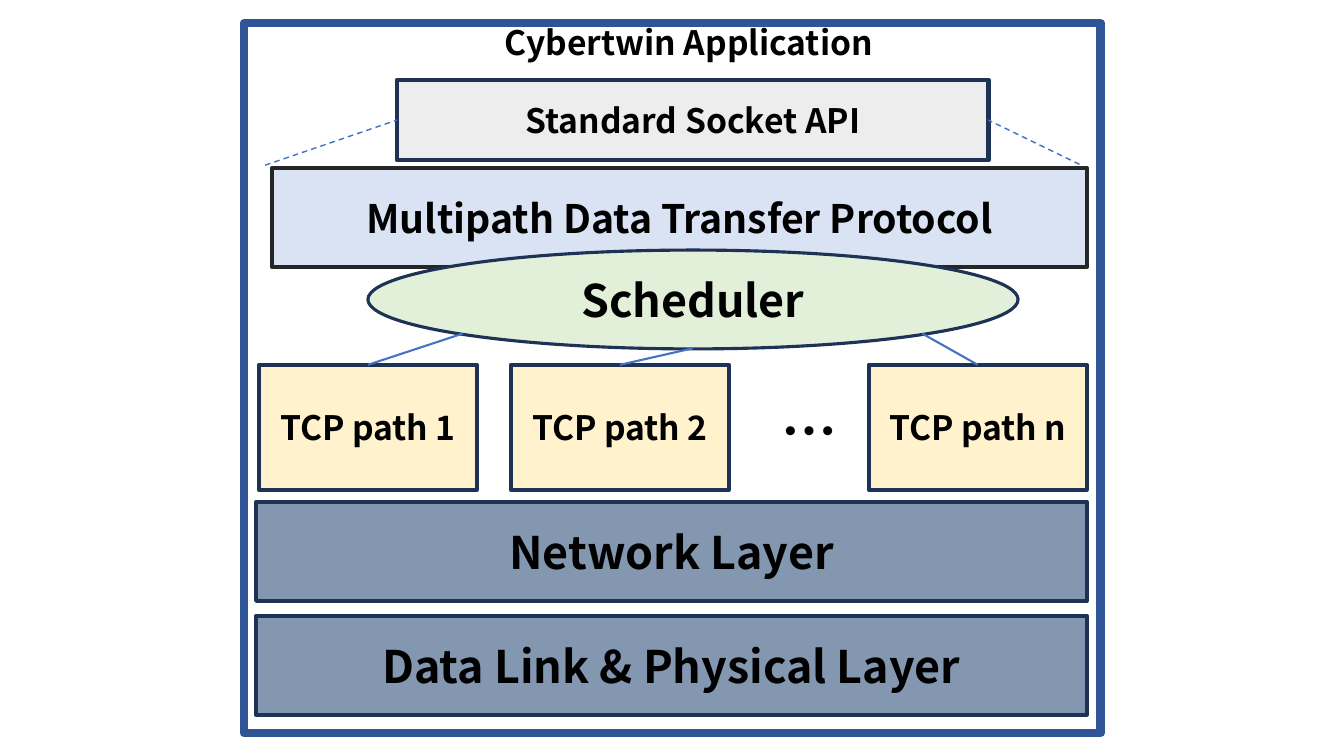
from lxml import etree
from pptx import Presentation
from pptx import util as u
from pptx.dml.color import RGBColor
from pptx.enum import dml, shapes, text
from pptx.oxml.ns import qn

FONT = "Noto Sans CJK SC"
COLORS = {
    "frame": "2F5597", "navy": "1E3256", "charcoal": "262626", "link": "4472C4",
    "api": "EDEDED", "protocol": "DAE3F3", "path": "FFF2CC",
    "scheduler": "E2F0D9", "layer": "8497B0", "text": "000000",
}
RECTANGLE = shapes.MSO_SHAPE.RECTANGLE
OVAL = shapes.MSO_SHAPE.OVAL


def color(name):
    return RGBColor.from_string(COLORS[name])


def write_text(shape, content, size=24, align=text.PP_ALIGN.LEFT,
               anchor=text.MSO_ANCHOR.TOP, wrap=True):
    frame = shape.text_frame
    frame.word_wrap = wrap
    frame.vertical_anchor = anchor
    paragraph = frame.paragraphs[0]
    paragraph.alignment = align
    run = paragraph.add_run()
    run.text = content
    run.font.size = u.Pt(size)
    run.font.bold = True
    run.font.name = FONT
    run.font.color.rgb = color("text")
    # East Asian typeface, which also governs the ellipsis
    etree.SubElement(run.font._element, qn("a:ea")).set("typeface", FONT)


def add_block(slide, box, fill=None, content=None, size=24, line="navy",
              width=3, kind=RECTANGLE):
    shape = slide.shapes.add_shape(kind, *map(u.Pt, box))
    shape.shadow.inherit = False
    if fill:
        shape.fill.solid()
        shape.fill.fore_color.rgb = color(fill)
    else:
        shape.fill.background()
    shape.line.color.rgb = color(line)
    shape.line.width = u.Pt(width)
    if content:
        write_text(shape, content, size=size, align=text.PP_ALIGN.CENTER,
                   anchor=text.MSO_ANCHOR.MIDDLE)


def add_label(slide, box, content, size):
    label = slide.shapes.add_textbox(*map(u.Pt, box))
    write_text(label, content, size=size, wrap=False)
    label.text_frame.auto_size = text.MSO_AUTO_SIZE.SHAPE_TO_FIT_TEXT


def add_link(slide, start, end, width=1.5, dashed=False):
    link = slide.shapes.add_connector(
        shapes.MSO_CONNECTOR.STRAIGHT, *map(u.Pt, start + end))
    link.line.color.rgb = color("link")
    link.line.width = u.Pt(width)
    if dashed:
        link.line.dash_style = dml.MSO_LINE.DASH
    etree.SubElement(link._element.spPr, qn("a:effectLst"))


def main():
    presentation = Presentation()
    presentation.slide_width, presentation.slide_height = u.Pt(960), u.Pt(540)
    slide = presentation.slides.add_slide(presentation.slide_layouts[6])

    # Application frame and title
    add_block(slide, (174.2, 16.6, 612, 507), line="frame", width=6)
    add_label(slide, (353.5, 12.2, 334, 36), "Cybertwin Application", 24)

    # Socket API and transfer protocol
    add_block(slide, (283.7, 57, 422.4, 57.6), "api", "Standard Socket API")
    add_block(slide, (194.4, 120.2, 582, 70.6), "protocol",
              "Multipath Data Transfer Protocol", size=28, line="charcoal")
    add_link(slide, (189.4, 118), (283.7, 85.7), width=1, dashed=True)
    add_link(slide, (771.1, 117.4), (705.8, 85.7), width=1, dashed=True)

    # Scheduler
    add_block(slide, (262.8, 178.6, 464.4, 70.6), "scheduler", "Scheduler",
              size=32, width=2.25, kind=OVAL)

    # TCP paths, each joined to the scheduler from its top centre
    path_top, path_width = 260.6, 155.6
    paths = [("1", 185, (330.5, 238.3)),
             ("2", 365, (494.8, 248.8)),
             ("n", 620.6, (658.8, 238.3))]
    for name, left, joint in paths:
        add_block(slide, (left, path_top, path_width, 89.3), "path",
                  f"TCP path {name}")
        add_link(slide, (left + path_width / 2, path_top), joint)
    add_label(slide, (551.5, 279.4, 69, 55.4), "…", 40)

    # Lower layers
    for row, name in enumerate(["Network Layer", "Data Link & Physical Layer"]):
        add_block(slide, (183, 358.6 + row * 81.3, 593.3, 70.6), "layer", name,
                  size=32)

    presentation.save("out.pptx")


if __name__ == "__main__":
    main()
